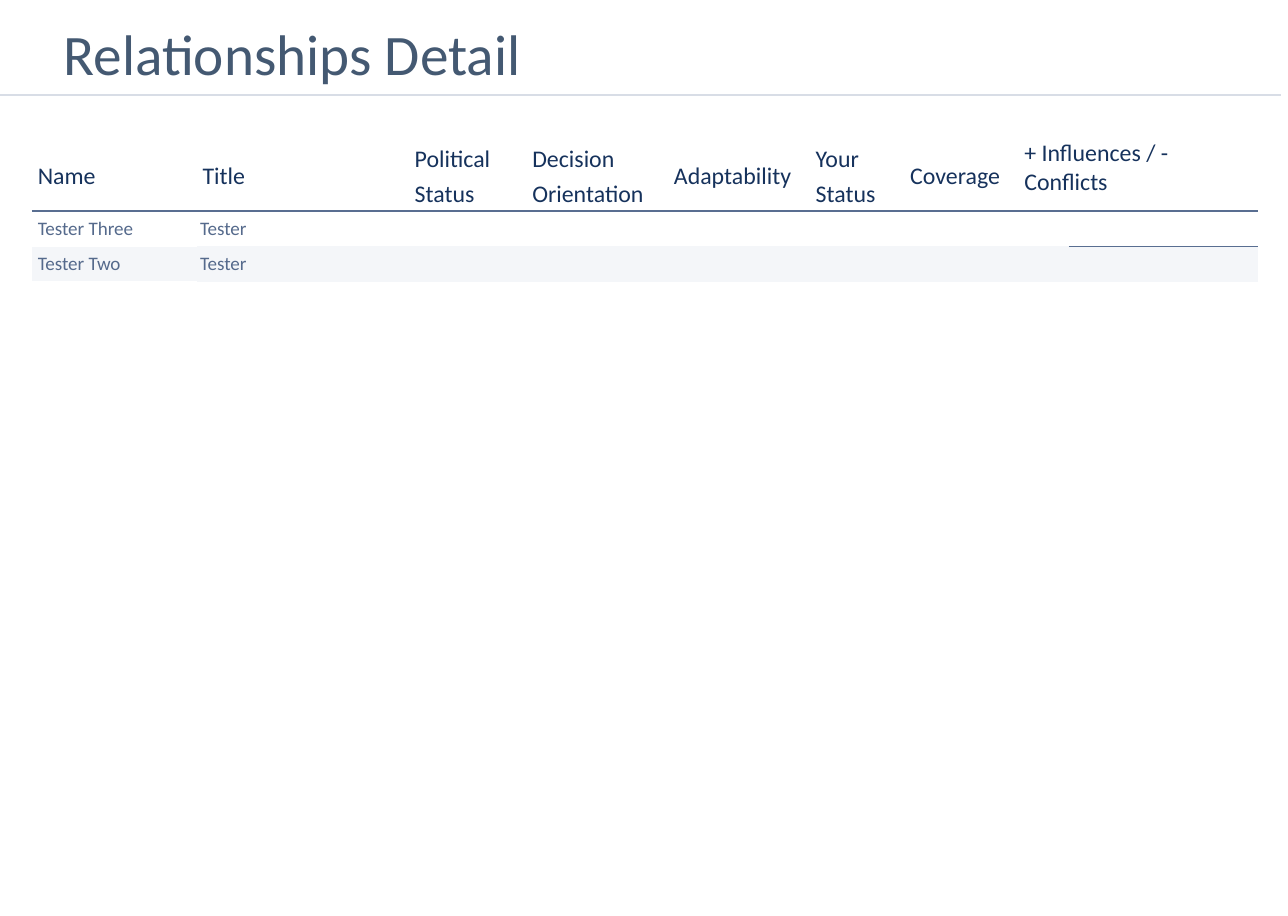
from lxml.etree import SubElement
from pptx import Presentation
from pptx.dml.color import RGBColor
from pptx.enum.shapes import MSO_CONNECTOR
from pptx.enum.text import MSO_ANCHOR
from pptx.oxml.ns import qn
from pptx.util import Inches, Pt

FONT = "Calibri"
RULE = "596E91"
NO_GRID_STYLE = "{2D5ABB26-0587-4C30-8999-92F81FD0307C}"
HEADERS = ["Name", "Title", "Political Status", "Decision Orientation",
           "Adaptability", "Your Status", "Coverage", "+ Influences / - Conflicts"]
PEOPLE = [("Tester Three", "Tester"), ("Tester Two", "Tester")]
ROW_FILLS = ["FFFFFF", "F4F6F9"]
COLUMN_WIDTHS = [1.92, 2.47, 1.37, 1.65, 1.65, 1.1, 1.37, 0.55, 2.2]
ROW_HEIGHTS = [0.7, 0.41, 0.41]


def color(hex_string):
    return RGBColor.from_string(hex_string)


def set_font(paragraph, size, hex_color):
    paragraph.font.name = FONT
    paragraph.font.size = Pt(size)
    paragraph.font.color.rgb = color(hex_color)


def set_margins(target, horizontal, vertical):
    target.margin_left = target.margin_right = Inches(horizontal)
    target.margin_top = target.margin_bottom = Inches(vertical)


def add_border(cell, side, hex_color, width):
    """Draw one edge of a cell; side is lnT or lnB. Call before filling the cell."""
    properties = cell._tc.get_or_add_tcPr()
    line = SubElement(properties, qn(f"a:{side}"), w=str(Pt(width)))
    fill = SubElement(line, qn("a:solidFill"))
    SubElement(fill, qn("a:srgbClr"), val=hex_color)


def add_title(slide, left, top, width, height):
    box = slide.shapes.add_textbox(Inches(left), Inches(top), Inches(width), Inches(height))
    frame = box.text_frame
    frame.word_wrap = True
    set_margins(frame, 0.05, 0.08)
    paragraph = frame.paragraphs[0]
    paragraph.text = "Relationships Detail"
    set_font(paragraph, 48, "445972")


def add_title_rule(slide, left, top, width):
    rule = slide.shapes.add_connector(
        MSO_CONNECTOR.STRAIGHT, Inches(left), Inches(top), Inches(left + width), Inches(top))
    rule.line.color.rgb = color("D8DDE6")
    rule.line.width = Pt(2)
    SubElement(rule._element.spPr, qn("a:effectLst"))


def fill_header(table):
    last = len(HEADERS) - 1
    table.cell(0, last).merge(table.cell(0, last + 1))
    for column, text in enumerate(HEADERS):
        cell = table.cell(0, column)
        cell.text = text
        paragraph = cell.text_frame.paragraphs[0]
        set_font(paragraph, 20, "16325C")
        if column == last:
            set_margins(cell, 0.03, 0.04)
        else:
            set_margins(cell, 0.07, 0.04)
            cell.vertical_anchor = MSO_ANCHOR.MIDDLE
            paragraph.line_spacing = 1.2
            paragraph.space_before = Pt(6)
    for cell in table.rows[0].cells:
        add_border(cell, "lnB", RULE, 1.5)


def fill_person(table, row, person, fill):
    for column, cell in enumerate(table.rows[row].cells):
        cell.text = person[column] if column < len(person) else ""
        cell.vertical_anchor = MSO_ANCHOR.MIDDLE
        set_font(cell.text_frame.paragraphs[0], 16, "556A8C")
        if column == 0:
            set_margins(cell, 0.07, 0.04)
            add_border(cell, "lnB", "FFFFFF", 0.5)
        else:
            set_margins(cell, 0.04, 0.02)
        if column == len(COLUMN_WIDTHS) - 1:
            add_border(cell, "lnT", RULE, 1.5)
        cell.fill.solid()
        cell.fill.fore_color.rgb = color(fill)


def add_relationships_table(slide, left, top):
    frame = slide.shapes.add_table(
        len(ROW_HEIGHTS), len(COLUMN_WIDTHS), Inches(left), Inches(top),
        Inches(sum(COLUMN_WIDTHS)), Inches(sum(ROW_HEIGHTS)))
    table = frame.table
    table.horz_banding = False
    table._tbl.tblPr.find(qn("a:tableStyleId")).text = NO_GRID_STYLE
    for column, width in zip(table.columns, COLUMN_WIDTHS):
        column.width = Inches(width)
    for row, height in zip(table.rows, ROW_HEIGHTS):
        row.height = Inches(height)
    fill_header(table)
    for row, (person, fill) in enumerate(zip(PEOPLE, ROW_FILLS), start=1):
        fill_person(table, row, person, fill)


def main():
    presentation = Presentation()
    presentation.slide_width = Inches(15)
    presentation.slide_height = Inches(10.67)
    slide = presentation.slides.add_slide(presentation.slide_layouts[6])
    add_title(slide, 0.69, 0.13, 13.19, 0.69)
    add_title_rule(slide, 0, 1.11, 14.92)
    add_relationships_table(slide, 0.37, 1.58)
    presentation.save("out.pptx")


if __name__ == "__main__":
    main()
